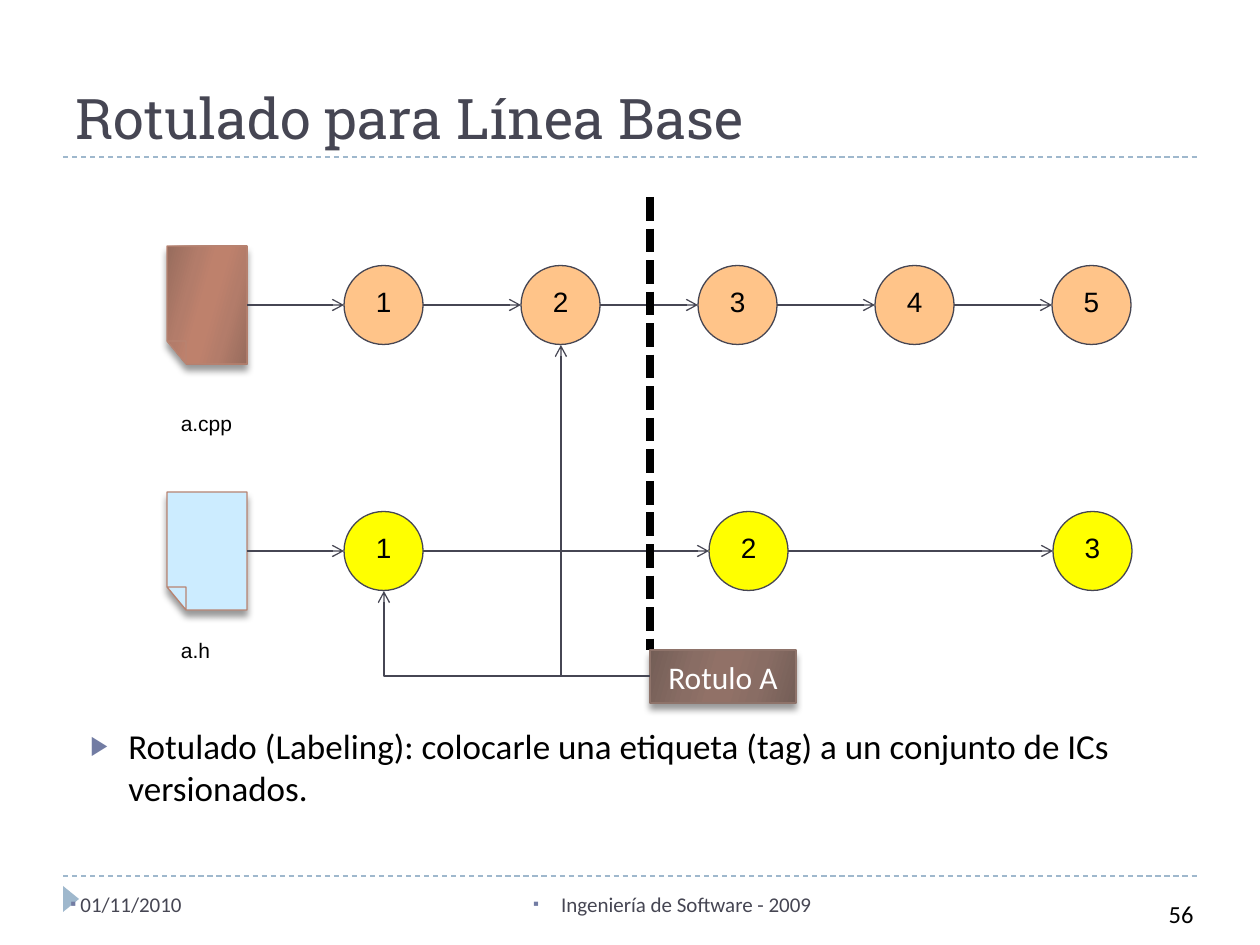
from lxml.etree import SubElement
from pptx import Presentation
from pptx.dml.color import RGBColor
from pptx.enum.dml import MSO_LINE
from pptx.enum.shapes import MSO_CONNECTOR, MSO_SHAPE
from pptx.enum.text import MSO_ANCHOR, PP_ALIGN
from pptx.oxml.ns import qn
from pptx.util import Pt

SCALE = 914400 / 126
INK = "464653"
BLACK = "000000"
MIST = "9FB8CD"
BULLET = "727CA3"
SIZE = 79
BROWN = ["976C5D", "B37C6A", "BE816C", "BE816C", "B37C6A", "976C5D"]
UMBER = ["745E57", "896D64", "917167", "917167", "896D64", "745E57"]
STOPS = [0, 30, 45, 55, 73, 100]


def px(*nums):
    return [round(num * SCALE) for num in nums]


def color(code):
    return RGBColor.from_string(code)


def node(parent, tag, **attrs):
    return SubElement(parent, qn(tag), {key: str(val) for key, val in attrs.items()})


def blend(shape, codes):
    shape.fill.gradient()
    grad = shape._element.spPr.find(qn("a:gradFill"))
    stops = grad.find(qn("a:gsLst"))
    stops.clear()
    for pos, code in zip(STOPS, codes):
        stop = node(stops, "a:gs", pos=pos * 1000)
        node(stop, "a:srgbClr", val=code)
    grad.find(qn("a:lin")).set("ang", str(16 * 60000))


def paint(shape, fill, edge=None):
    shape.shadow.inherit = False
    if isinstance(fill, list):
        blend(shape, fill)
    else:
        shape.fill.solid()
        shape.fill.fore_color.rgb = color(fill)
    if edge:
        shape.line.color.rgb = color(edge)
        shape.line.width = Pt(0.75)
    else:
        shape.line.fill.background()


def shade(shape):
    effects = shape._element.spPr.find(qn("a:effectLst"))
    outer = node(effects, "a:outerShdw", blurRad=Pt(4), dist=Pt(3.4),
                 dir=90 * 60000, algn="ctr", rotWithShape=0)
    tone = node(outer, "a:srgbClr", val=BLACK)
    node(tone, "a:alpha", val=40000)


def write(shape, text, size, font="Calibri", ink=BLACK, align=PP_ALIGN.LEFT,
          wrap=True, space=None, anchor=MSO_ANCHOR.TOP, mark=None):
    frame = shape.text_frame
    frame.word_wrap = wrap
    frame.vertical_anchor = anchor
    para = frame.paragraphs[0]
    para.text = text
    para.alignment = align
    if space:
        para.line_spacing = space
    if mark:
        char, indent, scale = mark
        props = para._p.get_or_add_pPr()
        gap = px(indent)[0]
        props.set("marL", str(gap))
        props.set("indent", str(-gap))
        node(node(props, "a:buClr"), "a:srgbClr", val=BULLET)
        node(props, "a:buSzPct", val=scale * 1000)
        node(props, "a:buFont", typeface="Arial")
        node(props, "a:buChar", char=char)
    para.font.size = Pt(size)
    para.font.name = font
    para.font.color.rgb = color(ink)


def label(slide, box, text, size, **style):
    write(slide.shapes.add_textbox(*px(*box)), text, size, **style)


def line(slide, ends, ink=INK, width=0.75, dash=None, arrow=False, bent=False):
    kind = MSO_CONNECTOR.ELBOW if bent else MSO_CONNECTOR.STRAIGHT
    link = slide.shapes.add_connector(kind, *px(*ends))
    link.line.color.rgb = color(ink)
    link.line.width = Pt(width)
    props = link._element.spPr
    if dash:
        link.line.dash_style = dash
    if arrow:
        node(props.find(qn("a:ln")), "a:tailEnd", type="arrow")
    if bent:
        props.find(qn("a:prstGeom")).set("prst", "bentConnector2")
    node(props, "a:effectLst")


def sheet(slide, mid, fill):
    left, right, top, low = 167, 247, mid - 59, mid + 59
    fold, crease = left + 19, low - 23
    form = slide.shapes.build_freeform(left, crease, scale=SCALE)
    form.add_line_segments([
        (left, top), (right, top), (right, low), (fold, low),
        (fold, crease), (left, crease), (fold, crease), (fold, low),
    ])
    shape = form.convert_to_shape()
    paint(shape, fill, "B88472")
    shade(shape)


def chain(slide, mid, lefts, fill):
    start = 247
    for num, left in enumerate(lefts, 1):
        ball = slide.shapes.add_shape(
            MSO_SHAPE.OVAL, *px(left, mid - SIZE / 2, SIZE, SIZE))
        paint(ball, fill, INK)
        write(ball, str(num), 16, font="Arial", align=PP_ALIGN.CENTER, space=1.05)
        line(slide, (start, mid, left, mid), arrow=True)
        start = left + SIZE


def frame(slide):
    for y in (876, 157):
        line(slide, (63, y, 1197, y), MIST, dash=MSO_LINE.DASH)
    wedge = slide.shapes.add_shape(MSO_SHAPE.ISOSCELES_TRIANGLE, *px(58, 891, 26, 16))
    wedge.rotation = 90
    paint(wedge, MIST)
    title = slide.shapes.title
    title.left, title.top, title.width, title.height = px(63, 21, 1134, 136)
    write(title, "Rotulado para Línea Base", 32, font="Roboto Slab", ink=INK,
          anchor=MSO_ANCHOR.BOTTOM)
    label(slide, (58, 885, 294, 50), "01/11/2010", 12, ink=INK, mark=("▪", 10, 80))
    label(slide, (425, 885, 399, 50), "Ingeniería de Software - 2009", 12, ink=INK,
          align=PP_ALIGN.RIGHT, mark=("▪", 28, 80))
    label(slide, (965, 893, 241, 42), "56", 14, align=PP_ALIGN.RIGHT)


def main():
    deck = Presentation()
    deck.slide_width, deck.slide_height = px(1260, 945)
    slide = deck.slides.add_slide(deck.slide_layouts[5])
    frame(slide)
    label(slide, (78, 718, 1113, 170),
          "Rotulado (Labeling): colocarle una etiqueta (tag) a un conjunto "
          "de ICs versionados.", 20, mark=("▶", 38, 76))

    sheet(slide, 305, BROWN)
    chain(slide, 305, [344 + 177 * step for step in range(5)], "FFC489")
    sheet(slide, 551, "CCECFF")
    chain(slide, 551, [344, 709, 1053], "FFFF00")
    for box, name in (((168, 403, 77, 38), "a.cpp"), ((168, 630, 55, 38), "a.h")):
        label(slide, box, name, 12, font="Arial", align=PP_ALIGN.CENTER,
              wrap=False, space=1.05)

    line(slide, (650, 197, 650, 650), BLACK, 4.5, MSO_LINE.SQUARE_DOT)
    tag = slide.shapes.add_shape(MSO_SHAPE.RECTANGLE, *px(650, 650, 146, 53))
    paint(tag, UMBER, "8E736A")
    shade(tag)
    write(tag, "Rotulo A", 18, ink="FFFFFF", align=PP_ALIGN.CENTER,
          wrap=False, space=1.05)
    for x, y in ((561, 345), (384, 591)):
        line(slide, (650, 676, x, y), arrow=True, bent=True)
    deck.save("out.pptx")


if __name__ == "__main__":
    main()
